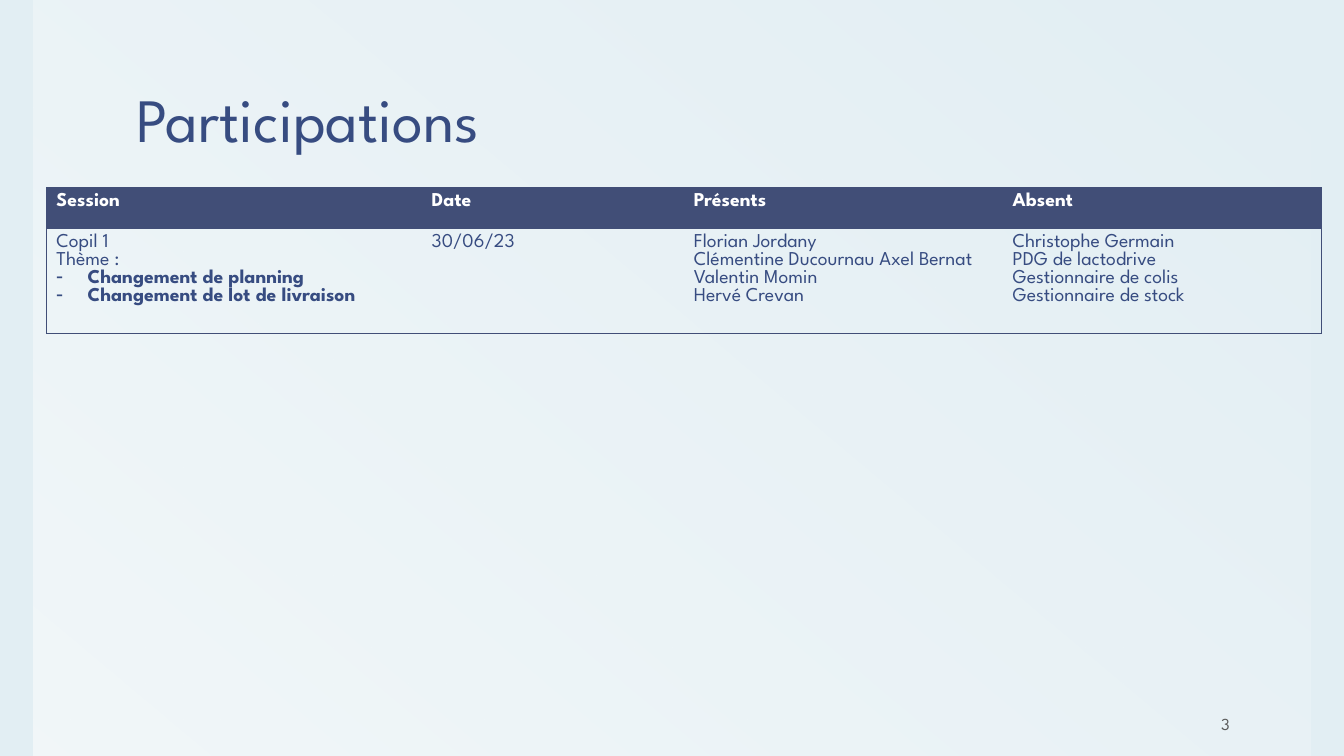
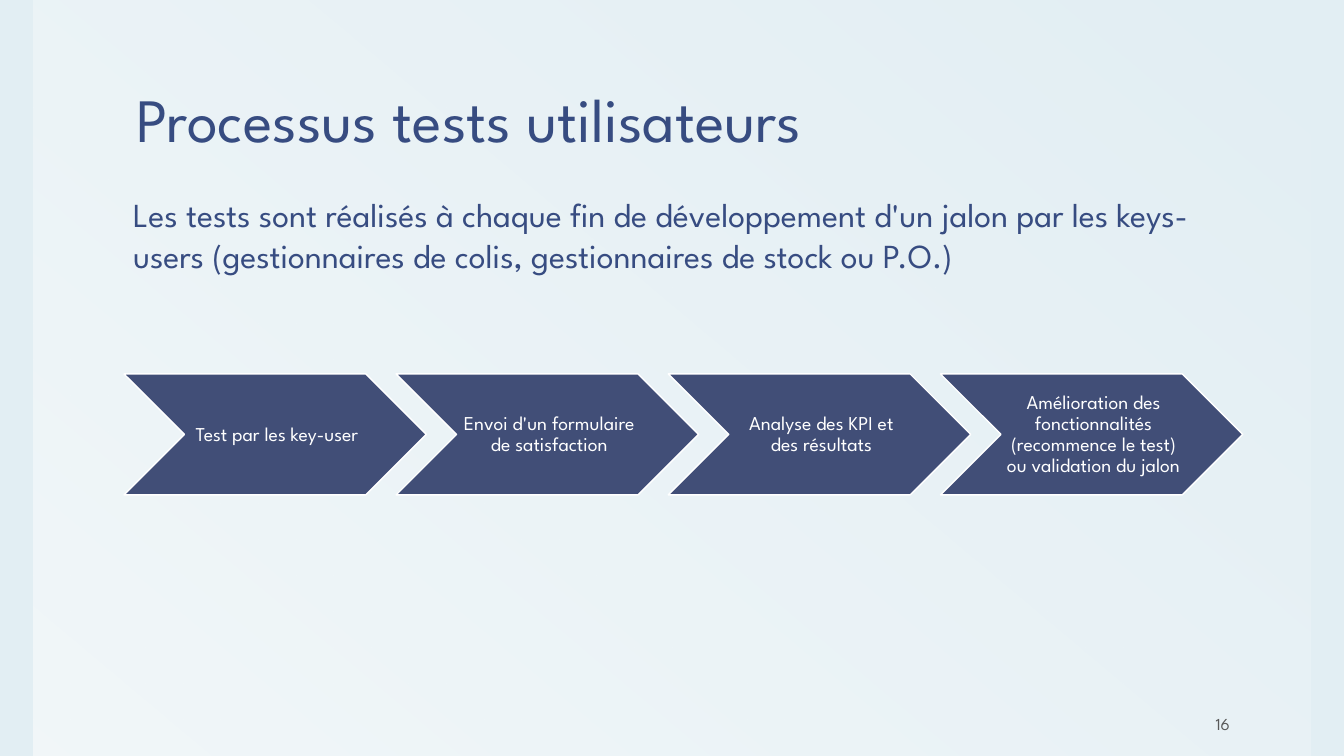
from dataclasses import dataclass

from lxml import etree
from pptx import Presentation
from pptx.dml.color import RGBColor
from pptx.enum.shapes import MSO_SHAPE
from pptx.enum.text import MSO_ANCHOR, MSO_AUTO_SIZE, PP_ALIGN
from pptx.oxml.ns import qn
from pptx.util import Emu, Inches, Pt

RECT = MSO_SHAPE.RECTANGLE
CHEVRON = MSO_SHAPE.CHEVRON
LEFT, CENTER, RIGHT = PP_ALIGN.LEFT, PP_ALIGN.CENTER, PP_ALIGN.RIGHT
MIDDLE, BOTTOM = MSO_ANCHOR.MIDDLE, MSO_ANCHOR.BOTTOM
FIXED = MSO_AUTO_SIZE.NONE

WIDTH, HEIGHT = Inches(13.33), Inches(7.5)
COLS, ROWS = 40, 30


@dataclass(frozen=True)
class Theme:
    font: str = "League Spartan"
    back: str = "E2EEF3"
    navy: str = "414E77"
    ink: str = "374C81"
    white: str = "FFFFFF"
    gray: str = "595959"
    title: int = 44
    lead: int = 24
    text: int = 14
    page: int = 12


THEME = Theme()


def rgb(color):
    return RGBColor.from_string(color)


def grid(col, row, cols, rows):
    return (Emu(int(WIDTH * col / COLS)), Emu(int(HEIGHT * row / ROWS)),
            Emu(int(WIDTH * cols / COLS)), Emu(int(HEIGHT * rows / ROWS)))


BAND = grid(1, 0, 38, 30)
TITLE = grid(3.66, 0.32, 33.33, 6.12)
LEAD = grid(3.66, 7.48, 34.05, 3.64)
TABLE = grid(1.38, 7.44, 37.95, 4.9)
STEPS = grid(3.69, 14.84, 33.3, 4.8)
PAGE = grid(33.36, 28, 3.63, 1.4)


def place(shape, box):
    shape.left, shape.top, shape.width, shape.height = box


def inset(frame, side, edge):
    frame.margin_left = frame.margin_right = Inches(side)
    frame.margin_top = frame.margin_bottom = Inches(edge)


def style(frame, size, color, align=LEFT, bold=False, space=None):
    for para in frame.paragraphs:
        para.alignment = align
        para.space_before = Pt(0)
        if space:
            para.line_spacing = space
        for run in para.runs:
            font = run.font
            font.name, font.size, font.bold = THEME.font, Pt(size), bold
            font.color.rgb = rgb(color)


def bullet(para, mark=None, indent=0):
    props = para._p.get_or_add_pPr()
    props.set("marL", str(Inches(indent)))
    props.set("indent", str(-Inches(indent)))
    if mark:
        etree.SubElement(props, qn("a:buChar"), char=mark)
    else:
        etree.SubElement(props, qn("a:buNone"))


def border(cell, edges):
    props = cell._tc.get_or_add_tcPr()
    for edge in "LRTB":
        line = etree.SubElement(props, qn("a:ln" + edge), w=str(Pt(0.5)))
        if edge in edges:
            fill = etree.SubElement(line, qn("a:solidFill"))
            etree.SubElement(fill, qn("a:srgbClr"), val=THEME.navy)
        else:
            etree.SubElement(line, qn("a:noFill"))


def add_band(slide):
    band = slide.shapes.add_shape(RECT, *BAND)
    band.shadow.inherit = False
    band.line.fill.background()
    band.fill.gradient()
    band.fill.gradient_angle = 230
    for stop, place_at, alpha in zip(band.fill.gradient_stops, (0, 1), (0, 55)):
        stop.position = place_at
        stop.color.rgb = rgb(THEME.white)
        tint = stop._gs.find(qn("a:srgbClr"))
        etree.SubElement(tint, qn("a:alpha"), val=str(alpha * 1000))
    slide.shapes._spTree.insert(2, band._element)


def add_base(deck, layout, title, number):
    slide = deck.slides.add_slide(deck.slide_layouts[layout])
    add_band(slide)
    head = slide.shapes.title
    place(head, TITLE)
    frame = head.text_frame
    frame.text = title
    frame.auto_size = FIXED
    frame.vertical_anchor = BOTTOM
    inset(frame, 0.13, 0.07)
    style(frame, THEME.title, THEME.ink, space=0.85)
    frame = slide.shapes.add_textbox(*PAGE).text_frame
    frame.text = number
    frame.word_wrap = True
    frame.vertical_anchor = BOTTOM
    inset(frame, 0.13, 0.07)
    style(frame, THEME.page, THEME.gray, RIGHT)
    return slide


def add_table(slide, box, shares, heights, rows):
    table = slide.shapes.add_table(len(rows), len(shares), *box).table
    table.horz_banding = False
    for col, share in zip(table.columns, shares):
        col.width = Emu(int(box[2] * share / sum(shares)))
    for row, share in zip(table.rows, heights):
        row.height = Emu(int(box[3] * share / sum(heights)))
    for r, texts in enumerate(rows):
        for c, text in enumerate(texts):
            cell = table.cell(r, c)
            edges = "TB" + "L" * (c == 0) + "R" * (c == len(texts) - 1)
            border(cell, edges)
            cell.text = text
            if r == 0:
                cell.fill.solid()
                cell.fill.fore_color.rgb = rgb(THEME.navy)
                style(cell.text_frame, THEME.text, THEME.white, bold=True)
            else:
                cell.fill.background()
                style(cell.text_frame, THEME.text, THEME.ink)
    return table


def add_lead(slide, box, text):
    body = slide.placeholders[1]
    place(body, box)
    frame = body.text_frame
    frame.text = text
    frame.auto_size = FIXED
    inset(frame, 0.1, 0.05)
    style(frame, THEME.lead, THEME.ink, space=Pt(29.2))
    bullet(frame.paragraphs[0])


def add_steps(slide, box, labels):
    left, top, width, height = box
    pitch = 0.9
    size = int(width / (1 + pitch * (len(labels) - 1)))
    for i, label in enumerate(labels):
        step = slide.shapes.add_shape(
            CHEVRON, left + int(i * pitch * size), top, size, height)
        step.shadow.inherit = False
        step.fill.solid()
        step.fill.fore_color.rgb = rgb(THEME.navy)
        step.line.color.rgb = rgb(THEME.white)
        step.line.width = Pt(1)
        frame = step.text_frame
        frame.text = label
        frame.word_wrap = True
        frame.vertical_anchor = MIDDLE
        inset(frame, 0.02, 0.02)
        frame.margin_left = Inches(0.06)
        style(frame, THEME.text, THEME.white, CENTER, space=Pt(15.1))


def add_people(deck):
    slide = add_base(deck, 5, "Participations", "3")
    table = add_table(slide, TABLE, (3.72, 2.6, 3.16, 3.16), (1, 2), (
        ("Session", "Date", "Présents", "Absent"),
        ("Copil 1\nThème :\nChangement de planning\n"
         "Changement de lot de livraison",
         "30/06/23",
         "Florian Jordany\nClémentine Ducournau Axel Bernat\n"
         "Valentin Momin\nHervé Crevan",
         "Christophe Germain\nPDG de lactodrive\n"
         "Gestionnaire de colis\nGestionnaire de stock"),
    ))
    for para in table.cell(1, 0).text_frame.paragraphs[2:]:
        bullet(para, "-", 0.31)
        para.runs[0].font.bold = True


def add_tests(deck):
    slide = add_base(deck, 1, "Processus tests utilisateurs", "16")
    add_lead(slide, LEAD,
             "Les tests sont réalisés à chaque fin de développement d'un jalon "
             "par les keys-users (gestionnaires de colis, gestionnaires de "
             "stock ou P.O.)")
    add_steps(slide, STEPS, (
        "Test par les key-user",
        "Envoi d'un formulaire de satisfaction",
        "Analyse des KPI et des résultats",
        "Amélioration des fonctionnalités (recommence le test) "
        "ou validation du jalon",
    ))


def main():
    deck = Presentation()
    deck.slide_width, deck.slide_height = WIDTH, HEIGHT
    back = deck.slide_master.background.fill
    back.solid()
    back.fore_color.rgb = rgb(THEME.back)
    add_people(deck)
    add_tests(deck)
    deck.save("out.pptx")


if __name__ == "__main__":
    main()
